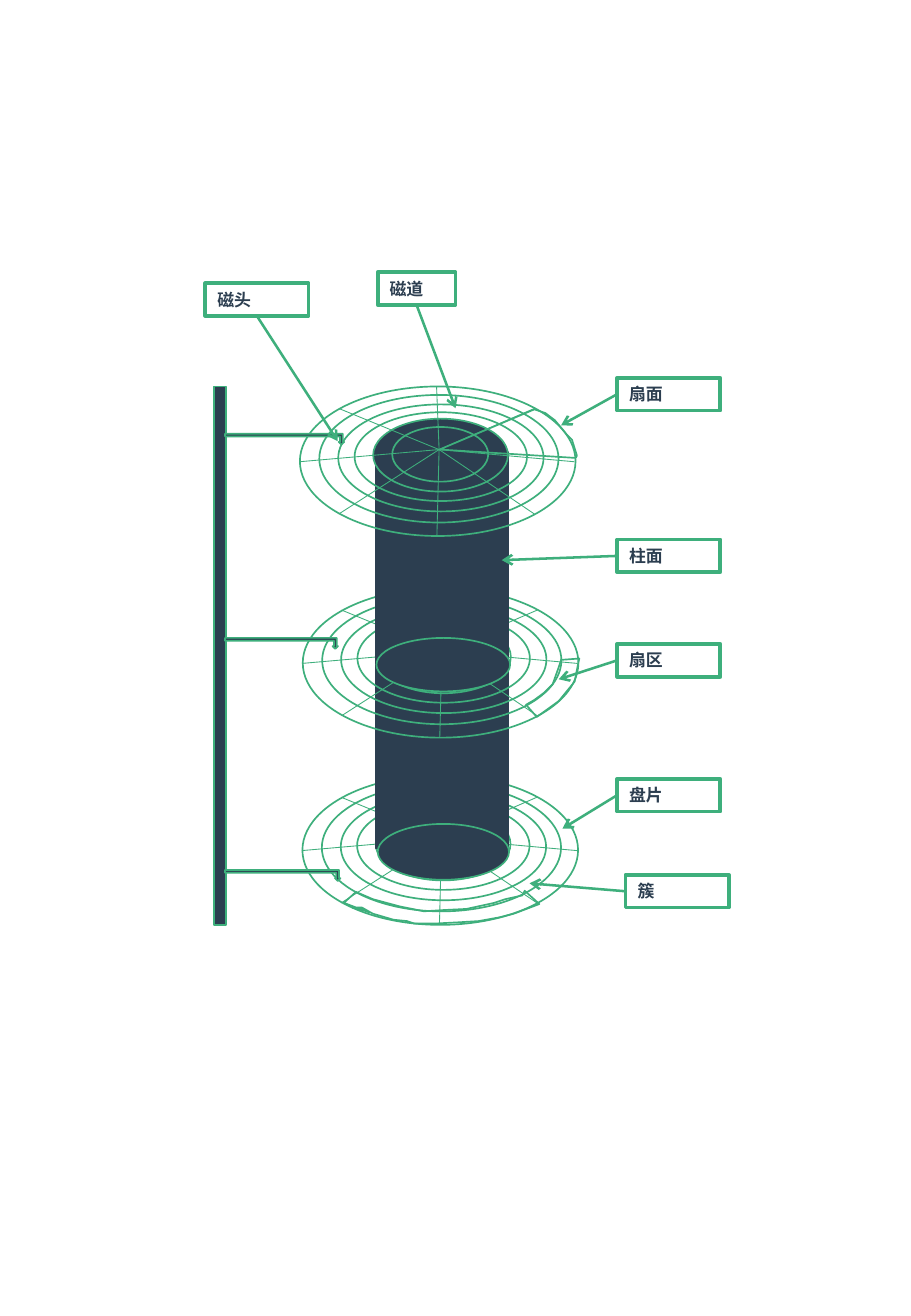
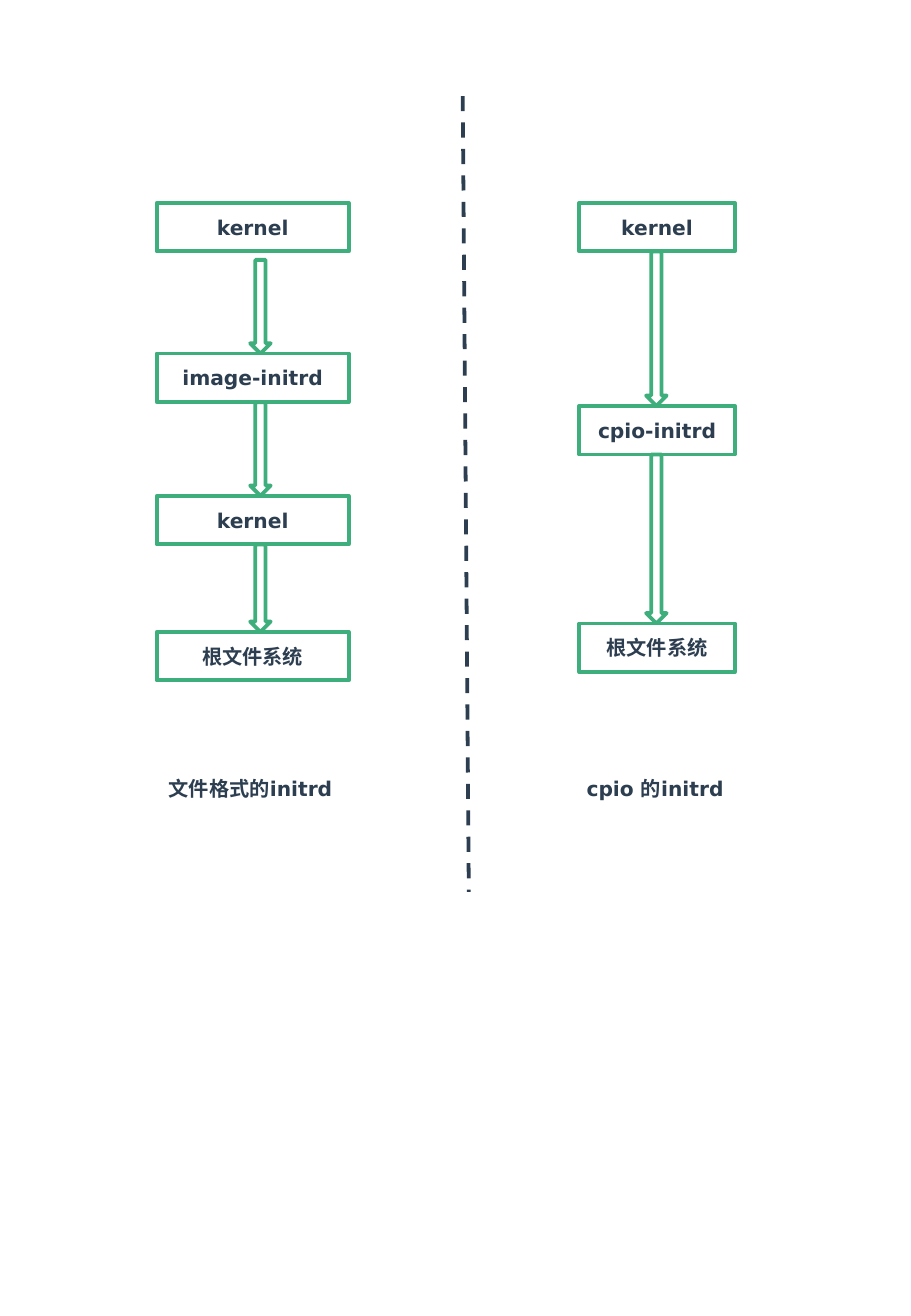
from itertools import pairwise

from lxml import etree
from pptx import Presentation
from pptx.dml.color import RGBColor
from pptx.enum.dml import MSO_LINE
from pptx.enum.shapes import MSO_CONNECTOR, MSO_SHAPE
from pptx.enum.text import MSO_ANCHOR, PP_ALIGN
from pptx.oxml.ns import qn
from pptx.util import Pt

RECT = MSO_SHAPE.RECTANGLE
OVAL = MSO_SHAPE.OVAL
DOWN = MSO_SHAPE.DOWN_ARROW
BENT = MSO_SHAPE.BENT_UP_ARROW
LINE = MSO_CONNECTOR.STRAIGHT
DASH = MSO_LINE.DASH
TOP, MID = MSO_ANCHOR.TOP, MSO_ANCHOR.MIDDLE
LEFT, MIDST = PP_ALIGN.LEFT, PP_ALIGN.CENTER

COLORS = {"green": "3EAF7C", "navy": "2C3E50", "white": "FFFFFF"}
FONT = "DejaVu Sans"
TAG_H = 19.4
BOX_H = 28.8

# Rings of one platter, from its top left corner: left, top, width, height
RINGS = [
    (0, 0, 163.4, 88.6),
    (11.5, 5, 141.8, 75.6),
    (22.7, 10.6, 121.7, 63.4),
    (32.4, 15.3, 102.2, 52.6),
    (43.4, 19.1, 79.9, 43.2),
    (54.7, 24, 56.9, 32.4),
]
HUB = (82.5, 37.4)
SPOKES = [(139, 75.6), (162.7, 44.6), (139, 13), (23, 13),
          (-0.4, 44.6), (23, 75.6), (81.2, 88.6)]
NORTH = (81, 0)

SECTOR = [(260.6, 266.4), (316.8, 242.6), (323.3, 244.8), (329, 249.1),
          (332.6, 253.4), (336.2, 257.8), (339.1, 260.6), (342, 270),
          (341.3, 271.4)]
BLOCK = [(332.6, 391), (331.2, 395.3), (327.6, 405.4), (322.6, 410.4),
         (316.8, 414.7), (311.8, 417.6), (318.2, 424.8), (331.2, 415.4),
         (340.6, 403.9), (342.7, 393.1), (343.4, 390.2)]
CLUSTER = [(203.8, 535), (211, 528.5), (221, 532.8), (236.9, 537.1),
           (251.3, 540), (262.1, 539.3), (276.5, 538.6), (293, 535),
           (299.5, 532.8), (309.6, 530.6), (311, 527.8), (319.7, 535.7),
           (304.6, 541.4), (295.9, 543.6), (283.7, 545.8), (272.2, 546.5),
           (258.5, 547.2), (245.5, 547.2), (241.2, 545.8), (233.3, 545),
           (221, 541.4), (214.6, 537.8), (208.8, 537.8), (217.4, 540),
           (218.9, 540.7)]


def color(name):
    return RGBColor.from_string(COLORS[name])


class Deck:
    """Holds the style and the current slide."""

    def __init__(self):
        self.prs = Presentation()
        self.prs.slide_width = Pt(540)
        self.prs.slide_height = Pt(779.76)

    def page(self):
        self.slide = self.prs.slides.add_slide(self.prs.slide_layouts[6])
        back = self.slide.background.fill
        back.solid()
        back.fore_color.rgb = color("white")
        self.items = self.slide.shapes

    def paint(self, shape, fill, line, width):
        shape.shadow.inherit = False
        if fill:
            shape.fill.solid()
            shape.fill.fore_color.rgb = color(fill)
        else:
            shape.fill.background()
        shape.line.color.rgb = color(line)
        shape.line.width = Pt(width)

    def shape(self, kind, x, y, w, h, fill=None, line="green", width=1):
        shape = self.items.add_shape(kind, Pt(x), Pt(y), Pt(w), Pt(h))
        self.paint(shape, fill, line, width)
        return shape

    def outline(self, points):
        dots = [(Pt(x), Pt(y)) for x, y in points]
        pen = self.items.build_freeform(*dots[0], scale=1.0)
        pen.add_line_segments(dots[1:], close=True)
        self.paint(pen.convert_to_shape(), None, "green", 1)

    def line(self, start, end, width, tint="green", dash=None, arrow=False):
        ends = [Pt(n) for n in (*start, *end)]
        line = self.items.add_connector(LINE, *ends)
        line.line.color.rgb = color(tint)
        line.line.width = Pt(width)
        if dash:
            line.line.dash_style = dash
        props = line.element.spPr
        if arrow:
            tail = etree.SubElement(props.find(qn("a:ln")), qn("a:tailEnd"))
            tail.set("type", "arrow")
        etree.SubElement(props, qn("a:effectLst"))

    def text(self, shape, words, size, align=LEFT, anchor=TOP):
        frame = shape.text_frame
        frame.word_wrap = True
        frame.vertical_anchor = anchor
        para = frame.paragraphs[0]
        para.alignment = align
        run = para.add_run()
        run.text = words
        run.font.name = FONT
        run.font.size = Pt(size)
        run.font.bold = True
        run.font.color.rgb = color("navy")

    def box(self, words, x, y, w):
        shape = self.shape(RECT, x, y, w, BOX_H, width=2.25)
        self.text(shape, words, 12, MIDST, MID)

    def note(self, words, x, y, w):
        shape = self.items.add_textbox(Pt(x), Pt(y), Pt(w), Pt(21.6))
        self.text(shape, words, 12)

    def tag(self, words, x, y, tip, w=61.2, below=False):
        """Label with a pointer from its left side or from below."""
        start = (x + w / 2, y + TAG_H) if below else (x, y + TAG_H / 2)
        self.line(start, tip, 1.5, arrow=True)
        self.text(self.shape(RECT, x, y, w, TAG_H, width=2.25), words, 10)

    def disk(self, x, y, top=False):
        """Platter of rings and spokes; the top one has a solid core."""
        for num, (dx, dy, w, h) in enumerate(RINGS):
            fill = "navy" if top and num == 4 else None
            self.shape(OVAL, x + dx, y + dy, w, h, fill)
        for dx, dy in SPOKES + [NORTH] * top:
            self.line((x + HUB[0], y + HUB[1]), (x + dx, y + dy), 0.5)

    def arm(self, y, w):
        shape = self.shape(BENT, 133.4, y, w, 6.5, "navy")
        shape.element.spPr.find(qn("a:xfrm")).set("flipV", "1")

    def flow(self, names, tops, x, w, mid, gap=0):
        """Column of boxes joined by arrows; gap lowers the first arrow."""
        for name, y in zip(names, tops):
            self.box(name, x, y, w)
        for y, after in pairwise(tops):
            start = y + BOX_H + gap
            self.shape(DOWN, mid, start, 12.2, after - start, width=2.25)
            gap = 0


def drive(deck):
    deck.page()
    for x, y, rod in [(179.3, 459.4, 378), (179.5, 348.5, 267.8)]:
        deck.disk(x, y)
        deck.shape(RECT, 222.5, rod, 78.5, 124.6, "navy", "navy")
    deck.disk(177.8, 229, top=True)

    deck.shape(RECT, 126.7, 229, 7.2, 319, "navy")
    for y, w in [(257, 70.6), (378, 67), (515.5, 68.4)]:
        deck.arm(y, w)
    deck.shape(OVAL, 223.2, 378, 79.2, 31.7, "navy")
    deck.shape(OVAL, 223.9, 488.2, 77.8, 33.1, "navy")
    for points in (SECTOR, BLOCK, CLUSTER):
        deck.outline(points)

    deck.tag("磁头", 121.7, 167.8, (200.2, 261.4), below=True)
    deck.tag("磁道", 223.9, 161.3, (270, 241.9), w=46.1, below=True)
    for words, y, tip in [
        ("扇面", 223.9, (332.6, 252)),
        ("柱面", 319.7, (297.4, 331.9)),
        ("扇区", 381.6, (331.2, 402.5)),
        ("盘片", 461.5, (333.4, 491)),
    ]:
        deck.tag(words, 365.8, y, tip)
    deck.tag("簇", 370.8, 518.4, (313.9, 523.4))


def boot(deck):
    deck.page()
    deck.flow(["kernel", "image-initrd", "kernel", "根文件系统"],
              [120.2, 209.5, 293.8, 374.4], 92.9, 113.8, 148.3, gap=5)
    deck.flow(["kernel", "cpio-initrd", "根文件系统"],
              [120.2, 240.5, 369.4], 343.4, 92.2, 383)
    deck.note("文件格式的initrd", 92.9, 456.5, 135.4)
    deck.note("cpio 的initrd", 340.6, 456.5, 109.4)
    deck.line((274.3, 56.9), (277.9, 528.5), 2.25, "navy", DASH)


def main():
    deck = Deck()
    drive(deck)
    boot(deck)
    deck.prs.save("out.pptx")


if __name__ == "__main__":
    main()
